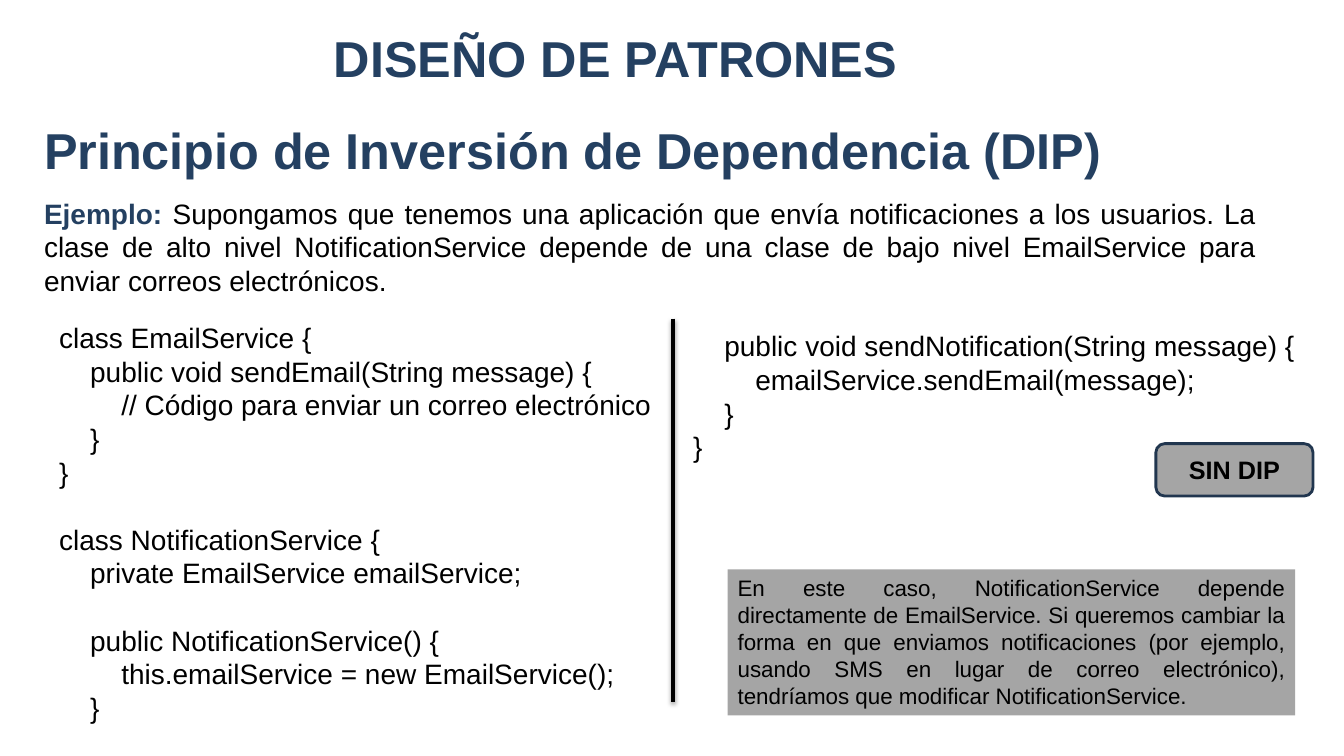
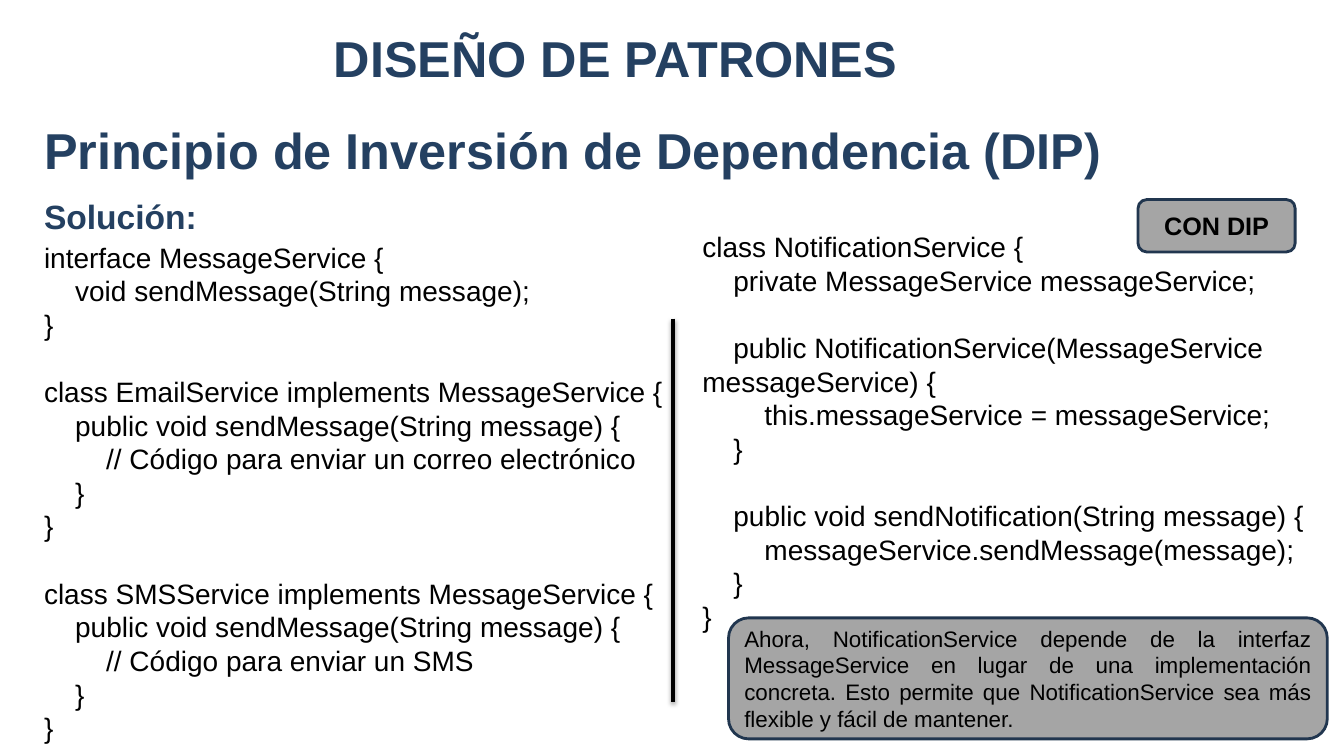
from lxml import etree
from pptx import Presentation
from pptx.dml.color import RGBColor
from pptx.enum import shapes, text
from pptx.oxml import ns
from pptx.util import Cm, Pt

COLORS = {"navy": "244061", "border": "21364F", "gray": "A5A5A5", "black": "000000"}
FONT = "Arial"
CODE_SIZE = 20
BLANK_LINE = 24

EMAIL_CODE = """class EmailService {
    public void sendEmail(String message) {
        // Código para enviar un correo electrónico
    }
}

class NotificationService {
    private EmailService emailService;

    public NotificationService() {
        this.emailService = new EmailService();
    }"""

SEND_CODE = """    public void sendNotification(String message) {
        emailService.sendEmail(message);
    }
}"""

INTERFACE_CODE = """interface MessageService {
    void sendMessage(String message);
}

class EmailService implements MessageService {
    public void sendMessage(String message) {
        // Código para enviar un correo electrónico
    }
}

class SMSService implements MessageService {
    public void sendMessage(String message) {
        // Código para enviar un SMS
    }
}"""

INVERTED_CODE = """class NotificationService {
    private MessageService messageService;

    public NotificationService(MessageService messageService) {
        this.messageService = messageService;
    }

    public void sendNotification(String message) {
        messageService.sendMessage(message);
    }
}"""

EXAMPLE = (
    "Supongamos que tenemos una aplicación que envía notificaciones a los usuarios. "
    "La clase de alto nivel NotificationService depende de una clase de bajo nivel "
    "EmailService para enviar correos electrónicos."
)
PROBLEM = (
    "En este caso, NotificationService depende directamente de EmailService. "
    "Si queremos cambiar la forma en que enviamos notificaciones (por ejemplo, usando "
    "SMS en lugar de correo electrónico), tendríamos que modificar NotificationService."
)
BENEFIT = (
    "Ahora, NotificationService depende de la interfaz MessageService en lugar de una "
    "implementación concreta. Esto permite que NotificationService sea más flexible y "
    "fácil de mantener."
)


def color(name):
    return RGBColor.from_string(COLORS[name])


def style(span, size, name="black", bold=False):
    span.font.name = FONT
    span.font.size = Pt(size)
    span.font.bold = bold
    span.font.color.rgb = color(name)


def prepare(frame, margins=(0.25, 0.13), anchor=text.MSO_ANCHOR.TOP):
    frame.word_wrap = True
    frame.auto_size = text.MSO_AUTO_SIZE.NONE
    frame.vertical_anchor = anchor
    frame.margin_left = frame.margin_right = Cm(margins[0])
    frame.margin_top = frame.margin_bottom = Cm(margins[1])


def add_box(page, area):
    box = page.shapes.add_textbox(*map(Cm, area))
    prepare(box.text_frame)
    return box


def add_page(deck):
    page = deck.slides.add_slide(deck.slide_layouts[5])
    title = page.shapes.title
    title.left, title.top, title.width, title.height = map(Cm, (7.37, 0.69, 16.3, 1.55))
    prepare(title.text_frame, margins=(0, 0))
    title.text_frame.text = "DISEÑO DE PATRONES"
    para = title.text_frame.paragraphs[0]
    para.alignment = text.PP_ALIGN.CENTER
    style(para.runs[0], 36, "navy", True)
    add_divider(page)
    return page


def add_heading(page, height, label, size, body=""):
    frame = add_box(page, (0.86, 2.87, 31.06, height)).text_frame
    frame.text = "Principio de Inversión de Dependencia (DIP)"
    style(frame.paragraphs[0].runs[0], 36, "navy", True)
    para = frame.add_paragraph()
    para.alignment = text.PP_ALIGN.JUSTIFY
    para.space_before = Pt(12)
    para.text = label
    style(para.runs[0], size, "navy", True)
    if body:
        span = para.add_run()
        span.text = body
        style(span, size)


def add_code(page, area, code):
    frame = add_box(page, area).text_frame
    blocks = code.split("\n\n")
    frame.text = "\n".join(blocks)
    for para in frame.paragraphs:
        style(para.runs[0], CODE_SIZE)
    first = 0
    for block in blocks[:-1]:
        first += len(block.split("\n"))
        frame.paragraphs[first].space_before = Pt(BLANK_LINE)


def add_divider(page):
    line = page.shapes.add_connector(
        shapes.MSO_CONNECTOR.STRAIGHT, Cm(16.97), Cm(8.03), Cm(16.97), Cm(17.68)
    )
    line.line.color.rgb = color("black")
    line.line.width = Pt(3)
    effects = etree.SubElement(line._element.spPr, ns.qn("a:effectLst"))
    shadow = etree.SubElement(
        effects, ns.qn("a:outerShdw"),
        blurRad=str(Pt(3.1)), dist=str(Pt(1.8)), dir="5400000", rotWithShape="0",
    )
    shade = etree.SubElement(shadow, ns.qn("a:srgbClr"), val=COLORS["black"])
    etree.SubElement(shade, ns.qn("a:alpha"), val="35000")


def add_panel(page, area, words, size, align, rounded=True, bold=False):
    kind = shapes.MSO_SHAPE.ROUNDED_RECTANGLE if rounded else shapes.MSO_SHAPE.RECTANGLE
    panel = page.shapes.add_shape(kind, *map(Cm, area))
    panel.shadow.inherit = False
    panel.fill.solid()
    panel.fill.fore_color.rgb = color("gray")
    if rounded:
        panel.line.color.rgb = color("border")
        panel.line.width = Pt(2)
    else:
        panel.line.fill.background()
    anchor = text.MSO_ANCHOR.MIDDLE if rounded else text.MSO_ANCHOR.TOP
    prepare(panel.text_frame, anchor=anchor)
    panel.text_frame.text = words
    para = panel.text_frame.paragraphs[0]
    para.alignment = align
    style(para.runs[0], size, bold=bold)


def add_badge(page, left, top, words):
    add_panel(page, (left, top, 3.96, 1.32), words, 18, text.PP_ALIGN.CENTER, bold=True)


def add_note(page, area, words, rounded):
    add_panel(page, area, words, 16, text.PP_ALIGN.JUSTIFY, rounded)


def main():
    deck = Presentation()
    deck.slide_width, deck.slide_height = Cm(33.87), Cm(19.05)

    problem = add_page(deck)
    add_heading(problem, 5, "Ejemplo: ", 20, EXAMPLE)
    add_code(problem, (1.24, 7.95, 16.94, 10.6), EMAIL_CODE)
    add_code(problem, (17.22, 8.16, 16.6, 3.7), SEND_CODE)
    add_badge(problem, 29.13, 11.18, "SIN DIP")
    add_note(problem, (18.34, 14.35, 14.3, 3.68), PROBLEM, rounded=False)

    solution = add_page(deck)
    add_heading(solution, 3.25, "Solución:", 24)
    add_badge(solution, 28.68, 5.03, "CON DIP")
    add_code(solution, (0.86, 5.92, 16.94, 13.08), INTERFACE_CODE)
    add_code(solution, (17.45, 5.66, 16.4, 10.5), INVERTED_CODE)
    add_note(solution, (18.36, 15.57, 15.09, 3.05), BENEFIT, rounded=True)

    deck.save("out.pptx")


if __name__ == "__main__":
    main()
